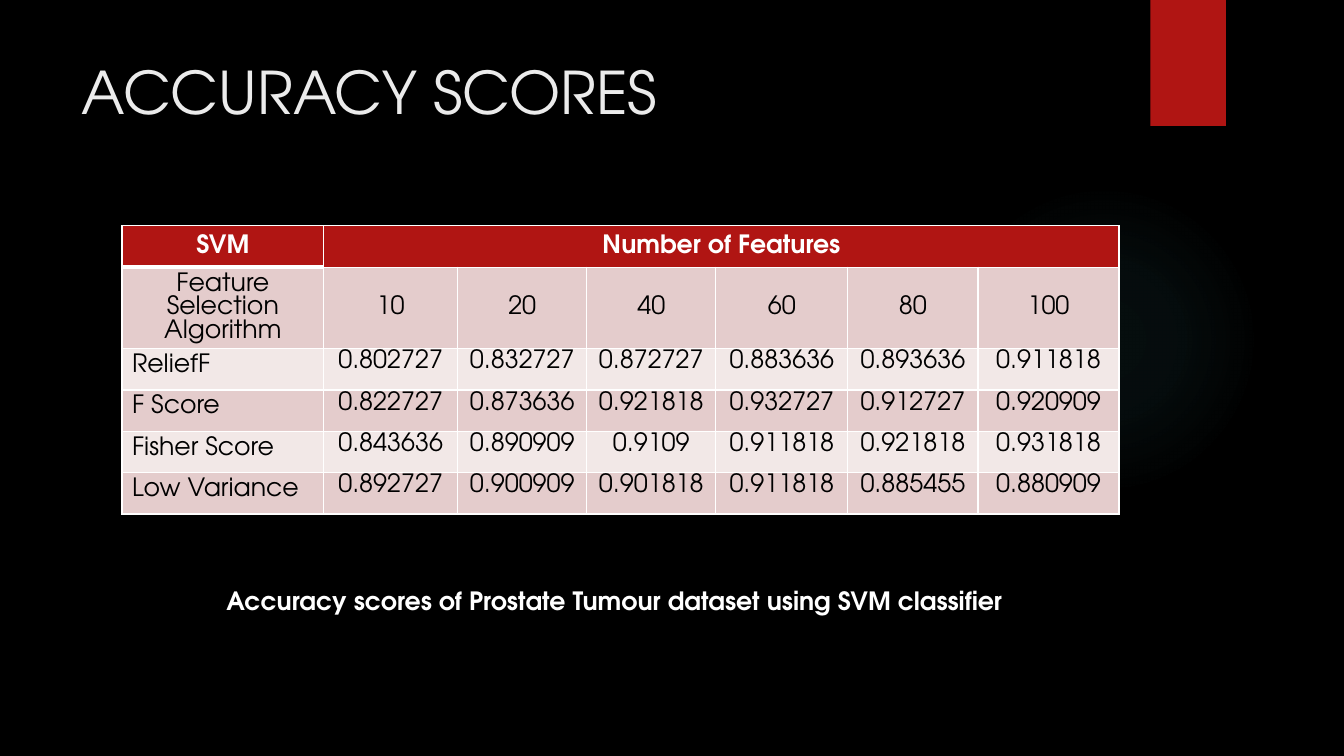
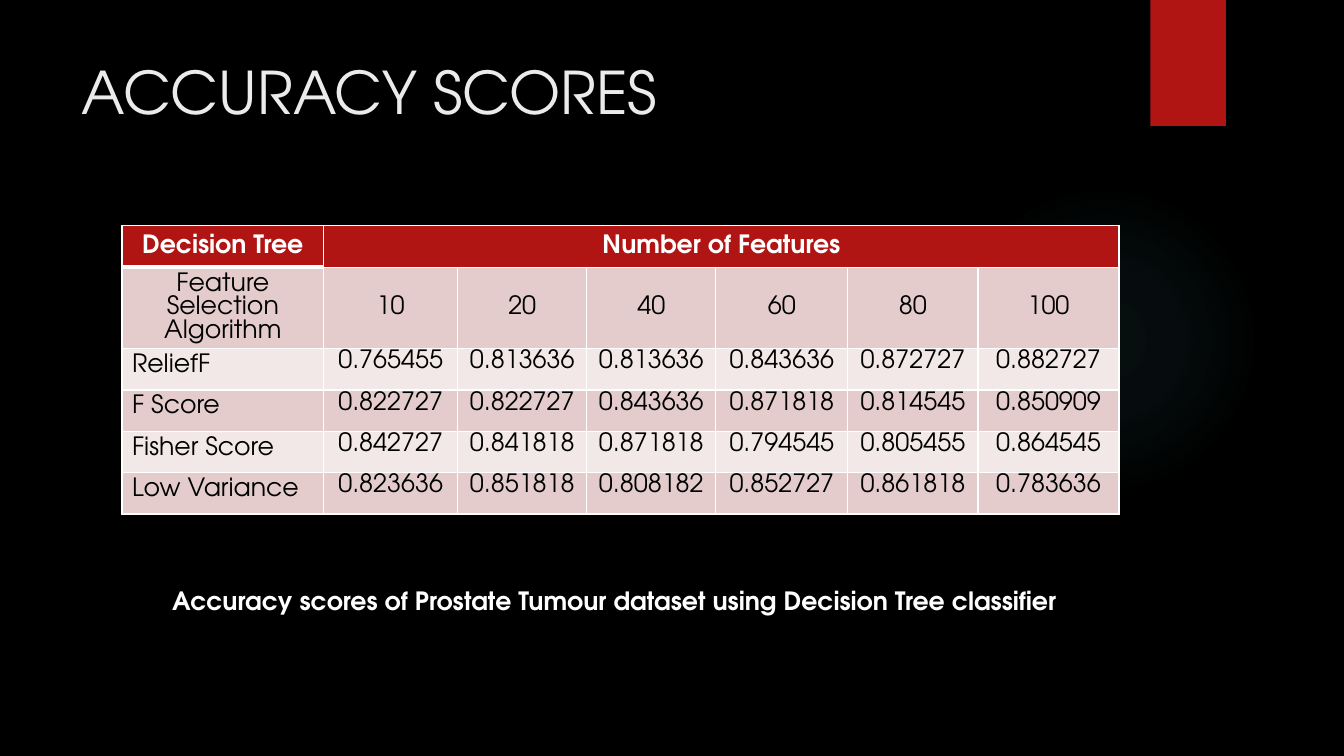
from lxml import etree
from pptx import Presentation
from pptx import util as u
from pptx.dml.color import RGBColor
from pptx.enum import shapes, text
from pptx.oxml import ns

HUES = {"back": "000000", "title": "EBEBEB", "red": "B01513", "glow": "50B9C1",
        "white": "FFFFFF", "ink": "000000", "rose": "E4CCCC", "pale": "F2E8E7"}
FONT = "TeX Gyre Adventor"
LEFT, MID = text.PP_ALIGN.LEFT, text.PP_ALIGN.CENTER
TOP, CORE = text.MSO_ANCHOR.TOP, text.MSO_ANCHOR.MIDDLE

COLS = [2, 1.33, 1.28, 1.28, 1.31, 1.29, 1.4]
ROWS = [0.41, 0.8, 0.41, 0.41, 0.41, 0.41]
COUNTS = ["10", "20", "40", "60", "80", "100"]
METHODS = ["ReliefF", "F Score", "Fisher Score", "Low Variance"]
SCORES = {
    "SVM": [
        "0.802727 0.832727 0.872727 0.883636 0.893636 0.911818",
        "0.822727 0.873636 0.921818 0.932727 0.912727 0.920909",
        "0.843636 0.890909 0.9109 0.911818 0.921818 0.931818",
        "0.892727 0.900909 0.901818 0.911818 0.885455 0.880909"],
    "Decision Tree": [
        "0.765455 0.813636 0.813636 0.843636 0.872727 0.882727",
        "0.822727 0.822727 0.843636 0.871818 0.814545 0.850909",
        "0.842727 0.841818 0.871818 0.794545 0.805455 0.864545",
        "0.823636 0.851818 0.808182 0.852727 0.861818 0.783636"],
}


def hue(name):
    return RGBColor.from_string(HUES[name])


def inch(box):
    return [u.Inches(n) for n in box]


def write(frame, words, size=18, color="ink", bold=False, align=MID, pitch=None):
    """Fill a text frame with one formatted paragraph."""
    para = frame.paragraphs[0]
    para.alignment = align
    if pitch:
        para.line_spacing = u.Pt(pitch)
    run = para.add_run()
    run.text = words
    font = run.font
    font.name, font.size, font.bold = FONT, u.Pt(size), bold
    font.color.rgb = hue(color)


def edge(cell, side, width=1):
    """Draw one white border; side is L, R, T or B."""
    props = cell._tc.get_or_add_tcPr()
    tag = ns.qn(f"a:ln{side}")
    line = etree.Element(tag, w=str(u.Pt(width)))
    fill = etree.SubElement(line, ns.qn("a:solidFill"))
    etree.SubElement(fill, ns.qn("a:srgbClr"), val=HUES["white"])
    old = props.find(tag)
    if old is None:
        props.insert("LRTB".index(side), line)
    else:
        props.replace(old, line)


def plain(slide, kind, box, color):
    shape = slide.shapes.add_shape(kind, *inch(box))
    shape.shadow.inherit = False
    shape.fill.solid()
    shape.fill.fore_color.rgb = hue(color)
    shape.line.fill.background()
    return shape


def glow(slide, box):
    """Place a disc that fades out from its centre."""
    props = plain(slide, shapes.MSO_SHAPE.OVAL, box, "glow")._element.spPr
    grad = etree.Element(ns.qn("a:gradFill"), rotWithShape="1")
    stops = etree.SubElement(grad, ns.qn("a:gsLst"))
    for pos, alpha in ((0, 7), (36, 6), (69, 0), (100, 0)):
        stop = etree.SubElement(stops, ns.qn("a:gs"), pos=str(pos * 1000))
        color = etree.SubElement(stop, ns.qn("a:srgbClr"), val=HUES["glow"])
        etree.SubElement(color, ns.qn("a:alpha"), val=str(alpha * 1000))
    way = etree.SubElement(grad, ns.qn("a:path"), path="circle")
    etree.SubElement(way, ns.qn("a:fillToRect"),
                     {side: "50000" for side in "ltrb"})
    props.replace(props.find(ns.qn("a:solidFill")), grad)


def head(slide, box, words):
    title = slide.shapes.title
    title.left, title.top, title.width, title.height = inch(box)
    frame = title.text_frame
    frame.word_wrap = True
    frame.auto_size = text.MSO_AUTO_SIZE.NONE
    frame.vertical_anchor = TOP
    write(frame, words, size=42, color="title", align=LEFT)


def put(cell, words, fill, anchor=CORE, tight=False, **style):
    """Fill a table cell; tight cells have narrow margins."""
    cell.fill.solid()
    cell.fill.fore_color.rgb = hue(fill)
    cell.vertical_anchor = anchor
    if tight:
        cell.margin_left = cell.margin_right = u.Inches(0.07)
        cell.margin_top = cell.margin_bottom = 0
    for side in "LRTB":
        edge(cell, side)
    if words:
        write(cell.text_frame, words, **{"pitch": 17, **style})


def grid(slide, left, top, model, scores):
    box = inch((left, top, sum(COLS), sum(ROWS)))
    table = slide.shapes.add_table(len(ROWS), len(COLS), *box).table
    for col, width in zip(table.columns, COLS):
        col.width = u.Inches(width)
    for row, height in zip(table.rows, ROWS):
        row.height = u.Inches(height)

    top_row = [model, "Number of Features"] + [""] * (len(COLS) - 2)
    for c, words in enumerate(top_row):
        put(table.cell(0, c), words, "red", color="white", bold=True)
    table.cell(0, 1).merge(table.cell(0, len(COLS) - 1))
    for c, words in enumerate(["Feature Selection Algorithm"] + COUNTS):
        put(table.cell(1, c), words, "rose")
    for r, (method, line) in enumerate(zip(METHODS, scores), 2):
        fill = "rose" if r % 2 else "pale"
        put(table.cell(r, 0), method, fill, anchor=TOP, align=LEFT)
        for c, score in enumerate(line.split(), 1):
            put(table.cell(r, c), score, fill, anchor=TOP, tight=True, pitch=18)
    edge(table.cell(0, 0), "B", 3)
    edge(table.cell(1, 0), "T", 3)


def note(slide, box, words):
    frame = slide.shapes.add_textbox(*inch(box)).text_frame
    frame.word_wrap = True
    write(frame, words, color="white", bold=True)


def page(deck, model, scores):
    slide = deck.slides.add_slide(deck.slide_layouts[5])
    glow(slide, (9.41, 1.83, 3.08, 3.08))
    plain(slide, shapes.MSO_SHAPE.RECTANGLE, (11.41, 0, 0.75, 1.25), "red")
    head(slide, (0.71, 0.5, 10.29, 1.53), "ACCURACY SCORES")
    grid(slide, 1.21, 2.24, model, scores)
    note(slide, (1.31, 5.76, 9.57, 0.4),
         f"Accuracy scores of Prostate Tumour dataset using {model} classifier")


def main():
    deck = Presentation()
    deck.slide_width, deck.slide_height = inch((13.33, 7.5))
    back = deck.slide_master.background.fill
    back.solid()
    back.fore_color.rgb = hue("back")
    for model, scores in SCORES.items():
        page(deck, model, scores)
    deck.save("out.pptx")


if __name__ == "__main__":
    main()
